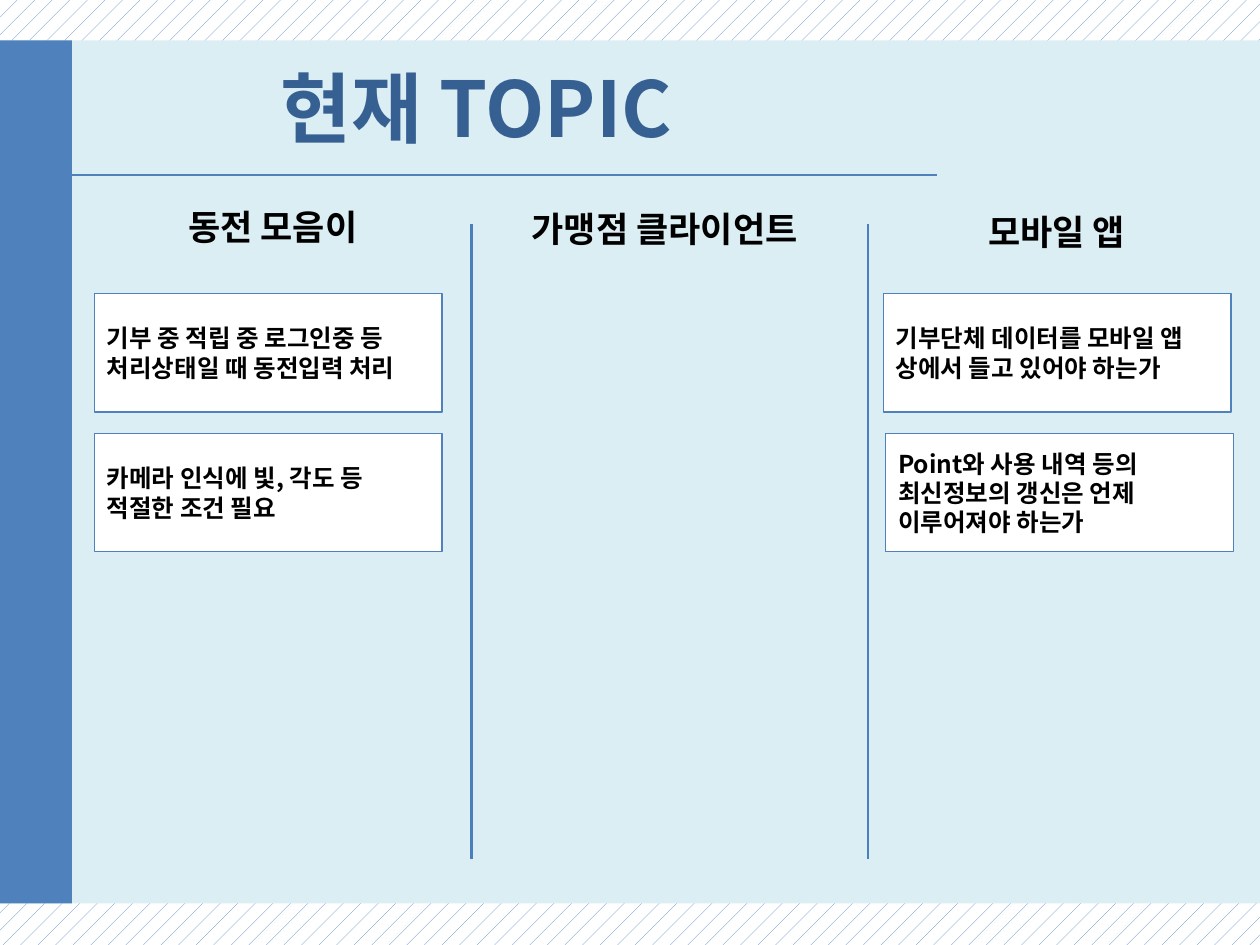
"""Build the slide of current topics in three columns."""
import pptx
import pptx.util
import pptx.dml.color
import pptx.enum.dml
import pptx.enum.shapes
import pptx.enum.text
import pptx.oxml
import pptx.oxml.ns

Inches, Pt = pptx.util.Inches, pptx.util.Pt
RGBColor = pptx.dml.color.RGBColor
Align = pptx.enum.text.PP_ALIGN

FONT = "Noto Sans CJK KR"
BLUE = RGBColor(0x4F, 0x81, 0xBD)
RULE = RGBColor(0x4B, 0x7E, 0xBC)
NAVY = RGBColor(0x37, 0x60, 0x92)
PALE = RGBColor(0xDB, 0xEE, 0xF4)
WHITE = RGBColor(0xFF, 0xFF, 0xFF)
BLACK = RGBColor(0, 0, 0)

TITLE = "현재 TOPIC"
HEADS = [
    ("동전 모음이", 0.67, 1.54),
    ("가맹점 클라이언트", 3.78, 1.55),
    ("모바일 앱", 6.89, 1.58),
]
CARDS = [
    (0.75, 0, "기부 중 적립 중 로그인중 등\n처리상태일 때 동전입력 처리"),
    (0.75, 1, "카메라 인식에 빛, 각도 등\n적절한 조건 필요"),
    (7.01, 0, "기부단체 데이터를 모바일 앱 상에서 들고 있어야 하는가"),
    (7.03, 1, "Point와 사용 내역 등의 최신정보의 갱신은 언제 이루어져야 하는가"),
]
LINES = [
    (0.28, 1.39, 7.44, 1.39, BLUE, 1),
    (3.74, 1.78, 3.74, 6.82, RULE, 1.5),
    (6.89, 1.78, 6.89, 6.82, RULE, 1.5),
]
BANDS = [(0, 10, PALE), (-0.02, 0.59, BLUE)]
TOP, STEP = 2.33, 1.11


def write(shape, text, size, color, align):
    frame = shape.text_frame
    frame.text = text
    frame.word_wrap = True
    frame.vertical_anchor = pptx.enum.text.MSO_ANCHOR.MIDDLE
    for para in frame.paragraphs:
        para.alignment = align
        for run in para.runs:
            font = run.font
            font.name, font.size, font.bold = FONT, Pt(size), True
            font.color.rgb = color
            east = pptx.oxml.parse_xml(
                f'<a:ea {pptx.oxml.ns.nsdecls("a")} typeface="{FONT}"/>')
            font._element.find(pptx.oxml.ns.qn("a:latin")).addnext(east)


def add_box(slide, left, top, width, height, fill):
    box = slide.shapes.add_shape(
        pptx.enum.shapes.MSO_SHAPE.RECTANGLE, *map(Inches, (left, top, width, height)))
    box.shadow.inherit = False
    box.fill.solid()
    box.fill.fore_color.rgb = fill
    box.line.fill.background()
    return box


def add_line(slide, x1, y1, x2, y2, color, width):
    line = slide.shapes.add_connector(
        pptx.enum.shapes.MSO_CONNECTOR.STRAIGHT, *map(Inches, (x1, y1, x2, y2)))
    line.line.color.rgb = color
    line.line.width = Pt(width)
    line._element.spPr.append(pptx.oxml.parse_xml(
        f'<a:effectLst {pptx.oxml.ns.nsdecls("a")}/>'))


def main():
    deck = pptx.Presentation()
    deck.slide_width, deck.slide_height = Inches(10), Inches(7.5)
    slide = deck.slides.add_slide(deck.slide_layouts[5])

    back = slide.background.fill
    back.patterned()
    back.pattern = pptx.enum.dml.MSO_PATTERN.PERCENT_5
    back.fore_color.rgb, back.back_color.rgb = BLUE, WHITE

    panel, bar = BANDS
    add_box(slide, panel[0], 0.32, panel[1], 6.85, panel[2])
    add_line(slide, *LINES[0])
    add_box(slide, bar[0], 0.32, bar[1], 6.85, bar[2])

    title = slide.shapes.title
    title.left, title.top = Inches(0.59), Inches(0.33)
    title.width, title.height = Inches(6.38), Inches(1.04)
    write(title, TITLE, 44, NAVY, Align.CENTER)
    slide.shapes._spTree.append(title._element)

    for text, left, top in HEADS:
        head = slide.shapes.add_textbox(*map(Inches, (left, top, 2.99, 0.52)))
        write(head, text, 20, BLACK, Align.CENTER)
    for line in LINES[1:]:
        add_line(slide, *line)
    for left, row, text in CARDS:
        card = add_box(slide, left, TOP + row * STEP, 2.76, 0.94, WHITE)
        card.line.color.rgb = BLUE
        card.line.width = Pt(0.75)
        write(card, text, 14, BLACK, Align.LEFT)

    deck.save("out.pptx")


if __name__ == "__main__":
    main()
